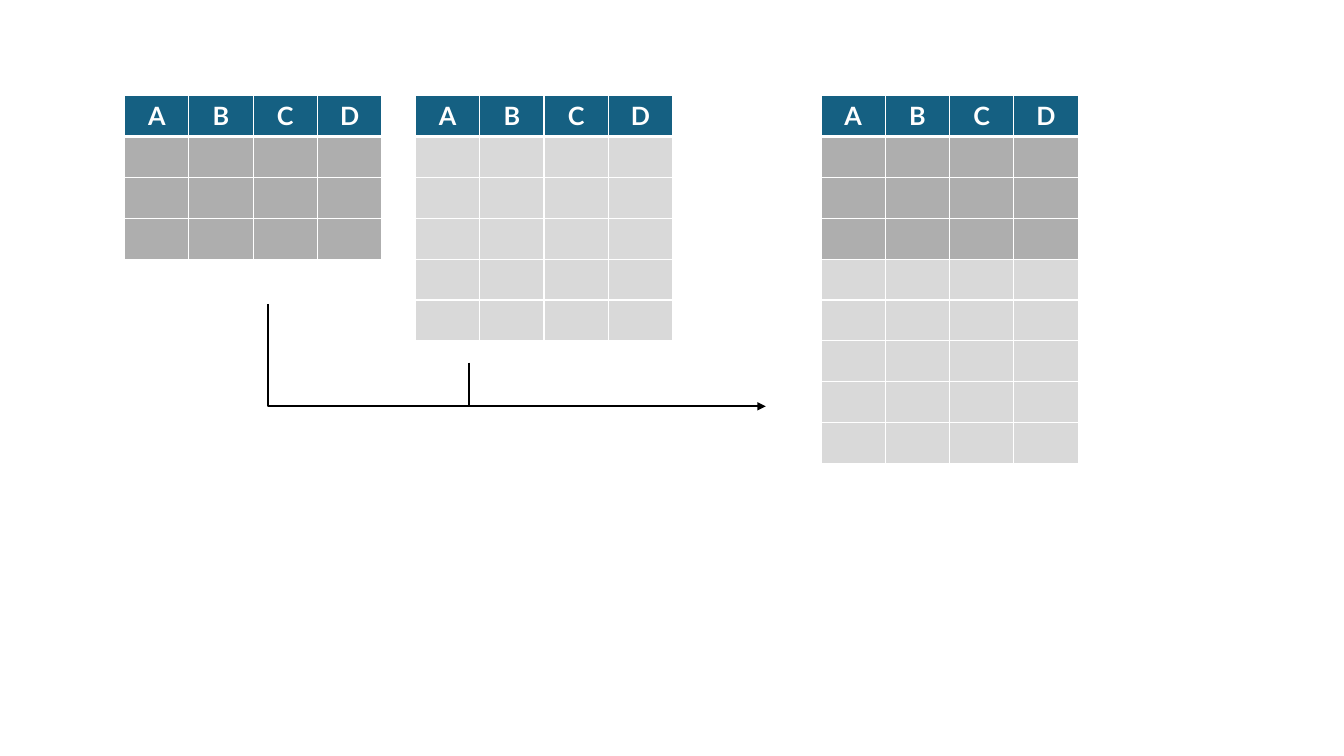
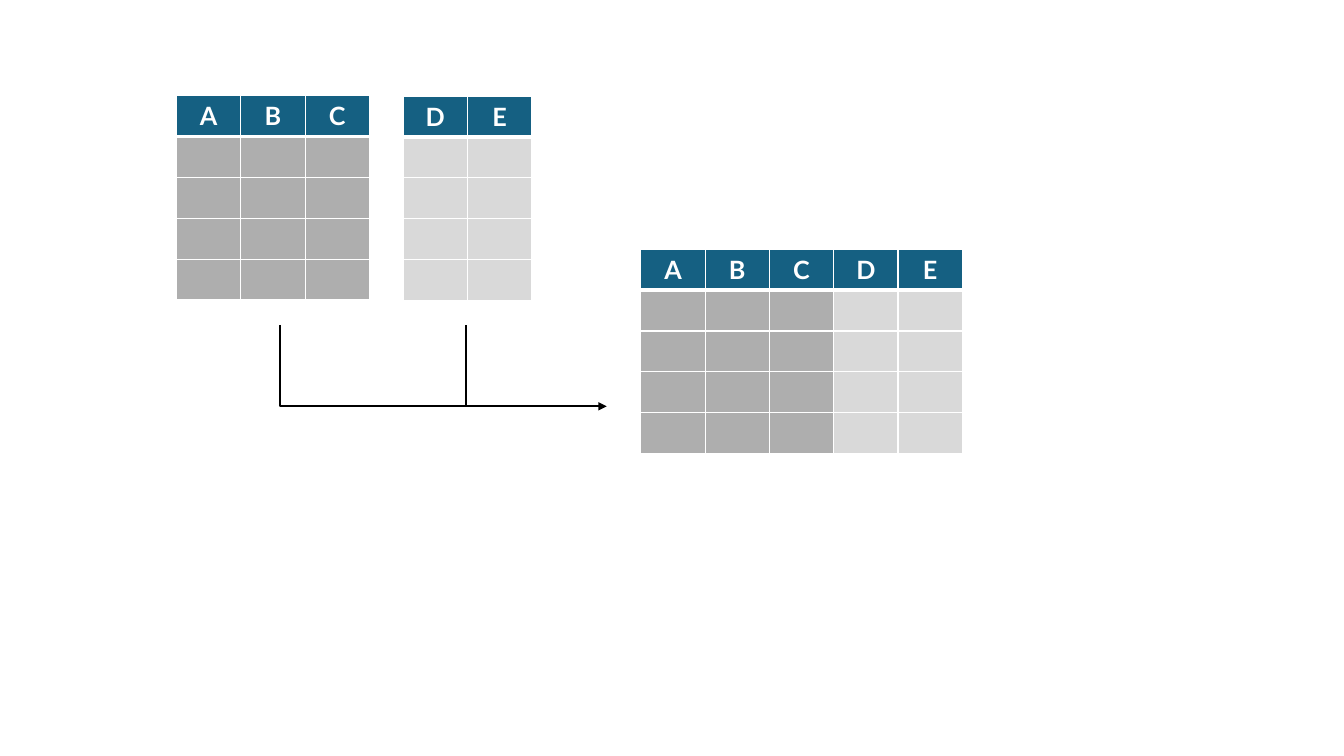
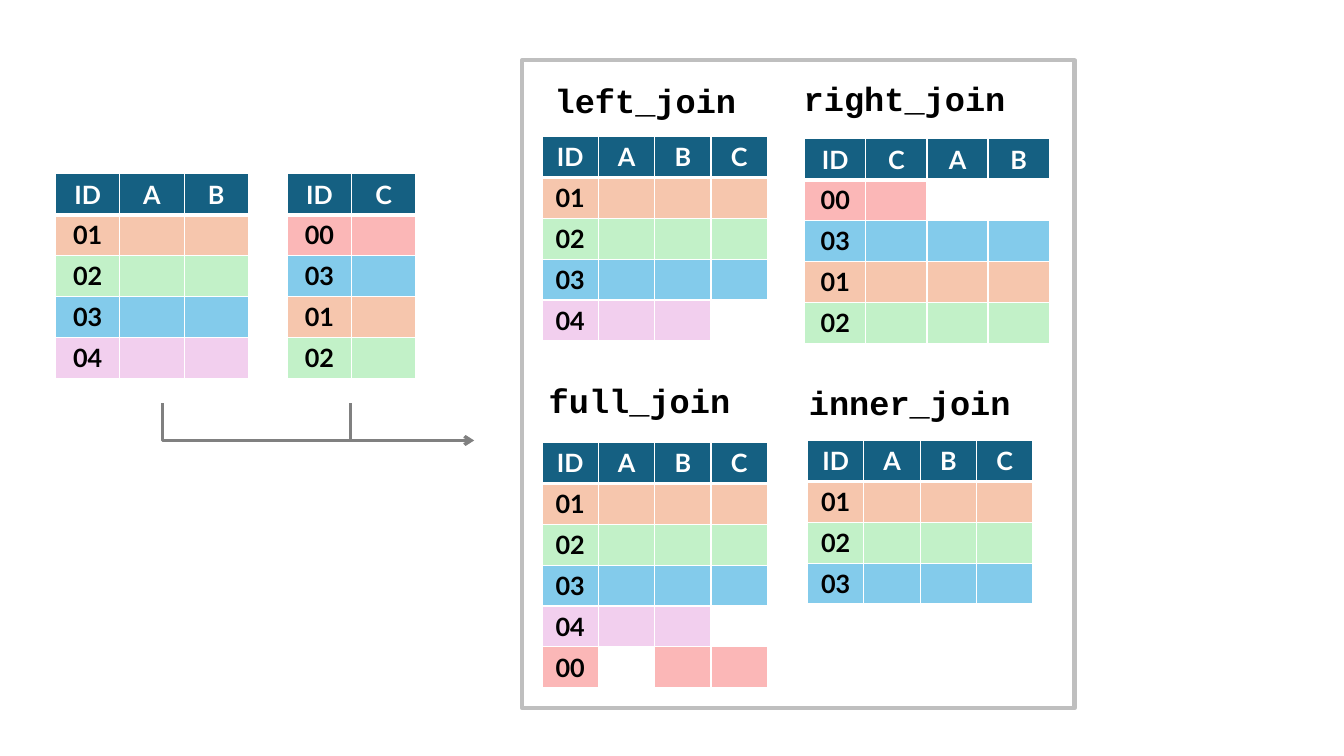
"""Build three slides that explain stacking, binding and joining tables."""
from lxml.etree import SubElement
from pptx import Presentation
from pptx.dml.color import RGBColor
from pptx.enum.shapes import MSO_CONNECTOR as Connector, MSO_SHAPE as Shape
from pptx.enum.text import MSO_ANCHOR as Anchor, PP_ALIGN as Align
from pptx.oxml.ns import qn
from pptx.util import Cm, Pt

COLORS = {
    "header": "156082", "dark": "AEAEAE", "light": "D9D9D9",
    "white": "FFFFFF", "black": "000000", "gray": "808080", "frame": "BFBFBF",
    "00": "FBB7B7", "01": "F6C6AD", "02": "C2F1C8", "03": "83CBEB", "04": "F2CFEE",
}
TABLE_FONT, CODE_FONT = "Lato", "Courier New"
COLUMN_WIDTH, ROW_HEIGHT = 1.62, 1.03


def color(name):
    return RGBColor.from_string(COLORS[name])


def style_paragraph(paragraph, font_name, size, color_name):
    paragraph.alignment = Align.CENTER
    paragraph.font.name = font_name
    paragraph.font.size = Pt(size)
    paragraph.font.bold = True
    paragraph.font.color.rgb = color(color_name)


def add_borders(cell, top, bottom):
    properties = cell._tc.get_or_add_tcPr()
    for side, width in (("L", 1), ("R", 1), ("T", top), ("B", bottom)):
        border = SubElement(properties, qn(f"a:ln{side}"), w=str(Pt(width)))
        fill = SubElement(border, qn("a:solidFill"))
        SubElement(fill, qn("a:srgbClr"), val=COLORS["white"])


def fill_cell(cell, text, fill_name, text_color, top=1, bottom=1):
    add_borders(cell, top, bottom)
    cell.fill.solid()
    cell.fill.fore_color.rgb = color(fill_name)
    cell.vertical_anchor = Anchor.MIDDLE
    cell.text = text
    style_paragraph(cell.text_frame.paragraphs[0], TABLE_FONT, 18, text_color)


def add_data_table(slide, left, top, headers, rows, column_width=COLUMN_WIDTH):
    """Draw a header and rows, each row being a label and one fill per column."""
    row_count = len(rows) + 1
    table = slide.shapes.add_table(
        row_count, len(headers), Cm(left), Cm(top),
        Cm(column_width * len(headers)), Cm(ROW_HEIGHT * row_count)).table
    table.horz_banding = False
    for column in table.columns:
        column.width = Cm(column_width)
    for row in table.rows:
        row.height = Cm(ROW_HEIGHT)
    for index, header in enumerate(headers):
        fill_cell(table.cell(0, index), header, "header", "white", bottom=3)
    for row_index, (label, fills) in enumerate(rows, start=1):
        for index, fill_name in enumerate(fills):
            fill_cell(table.cell(row_index, index), "" if index else label,
                      fill_name, "black", top=3 if row_index == 1 else 1)


def plain_rows(headers, fill_name, count):
    return [("", [fill_name] * len(headers))] * count


def keyed_rows(headers, keys, gaps):
    """Colour each row by its key, leaving the columns named in gaps white."""
    return [(key, ["white" if header in gaps.get(key, "") else key for header in headers])
            for key in keys]


def add_line(slide, kind, start, end, color_name, width, arrowhead=None):
    connector = slide.shapes.add_connector(kind, *map(Cm, start + end))
    connector.line.color.rgb = color(color_name)
    connector.line.width = Pt(width)
    properties = connector.element.spPr
    if arrowhead:
        SubElement(properties.find(qn("a:ln")), qn("a:tailEnd"), type=arrowhead)
    SubElement(properties, qn("a:effectLst"))
    return connector


def add_merge_arrow(slide, start, end, stub_x, stub_top,
                    color_name="black", width=1.5, arrowhead="triangle"):
    """Draw an elbow arrow that a vertical stub runs into."""
    elbow = add_line(slide, Connector.ELBOW, start, end, color_name, width, arrowhead)
    adjustments = elbow.element.spPr.find(qn("a:prstGeom")).get_or_add_avLst()
    SubElement(adjustments, qn("a:gd"), name="adj1", fmla="val 0")
    add_line(slide, Connector.STRAIGHT, (stub_x, stub_top), (stub_x, end[1]),
             color_name, width)


def add_code_label(slide, left, top, text):
    box = slide.shapes.add_textbox(Cm(left), Cm(top), Cm(7.19), Cm(1.28))
    box.text_frame.word_wrap = True
    paragraph = box.text_frame.paragraphs[0]
    paragraph.text = text
    style_paragraph(paragraph, CODE_FONT, 24, "black")


def add_frame(slide, left, top, width, height):
    frame = slide.shapes.add_shape(Shape.RECTANGLE, Cm(left), Cm(top), Cm(width), Cm(height))
    frame.shadow.inherit = False
    frame.fill.background()
    frame.line.color.rgb = color("frame")
    frame.line.width = Pt(3)


def build_stacking(slide):
    headers = "ABCD"
    upper = plain_rows(headers, "dark", 3)
    lower = plain_rows(headers, "light", 5)
    for left, rows in ((3.14, upper), (10.47, lower), (20.69, upper + lower)):
        add_data_table(slide, left, 2.41, headers, rows)
    add_merge_arrow(slide, (6.75, 7.66), (19.3, 10.24), 11.83, 9.14)


def build_binding(slide):
    result_left = 16.15
    for left, top, headers, fill_name in (
            (4.45, 2.41, "ABC", "dark"),
            (10.16, 2.42, "DE", "light"),
            (result_left, 6.28, "ABC", "dark"),
            (result_left + 3 * COLUMN_WIDTH, 6.28, "DE", "light")):
        add_data_table(slide, left, top, headers, plain_rows(headers, fill_name, 4))
    add_merge_arrow(slide, (7.05, 8.19), (15.29, 10.24), 11.75, 8.19)


def build_joins(slide):
    tables = (
        (1.4, 4.38, "ID A B", "01 02 03 04", {}, COLUMN_WIDTH),
        (7.24, 4.38, "ID C", "00 03 01 02", {}, COLUMN_WIDTH),
        (13.66, 3.44, "ID A B C", "01 02 03 04", {"04": "C"}, 1.42),
        (20.28, 3.5, "ID C A B", "00 03 01 02", {"00": "AB"}, 1.54),
        (13.66, 11.15, "ID A B C", "01 02 03 04 00", {"04": "C", "00": "A"}, 1.42),
        (20.35, 11.1, "ID A B C", "01 02 03", {}, 1.42),
    )
    for left, top, names, keys, gaps, column_width in tables:
        headers = names.split()
        rows = keyed_rows(headers, keys.split(), gaps)
        add_data_table(slide, left, top, headers, rows, column_width)
    add_merge_arrow(slide, (4.1, 10.16), (11.95, 11.1), 8.83, 10.16,
                    "gray", 2.25, "arrow")
    add_frame(slide, 13.16, 1.52, 13.92, 16.33)
    for left, top, text in ((12.67, 1.9, "left_join"), (19.2, 1.85, "right_join"),
                            (12.52, 9.45, "full_join"), (19.33, 9.5, "inner_join")):
        add_code_label(slide, left, top, text)


def main():
    presentation = Presentation()
    presentation.slide_width, presentation.slide_height = Cm(33.87), Cm(19.05)
    blank_layout = presentation.slide_layouts[6]
    for build in (build_stacking, build_binding, build_joins):
        build(presentation.slides.add_slide(blank_layout))
    presentation.save("out.pptx")


if __name__ == "__main__":
    main()
